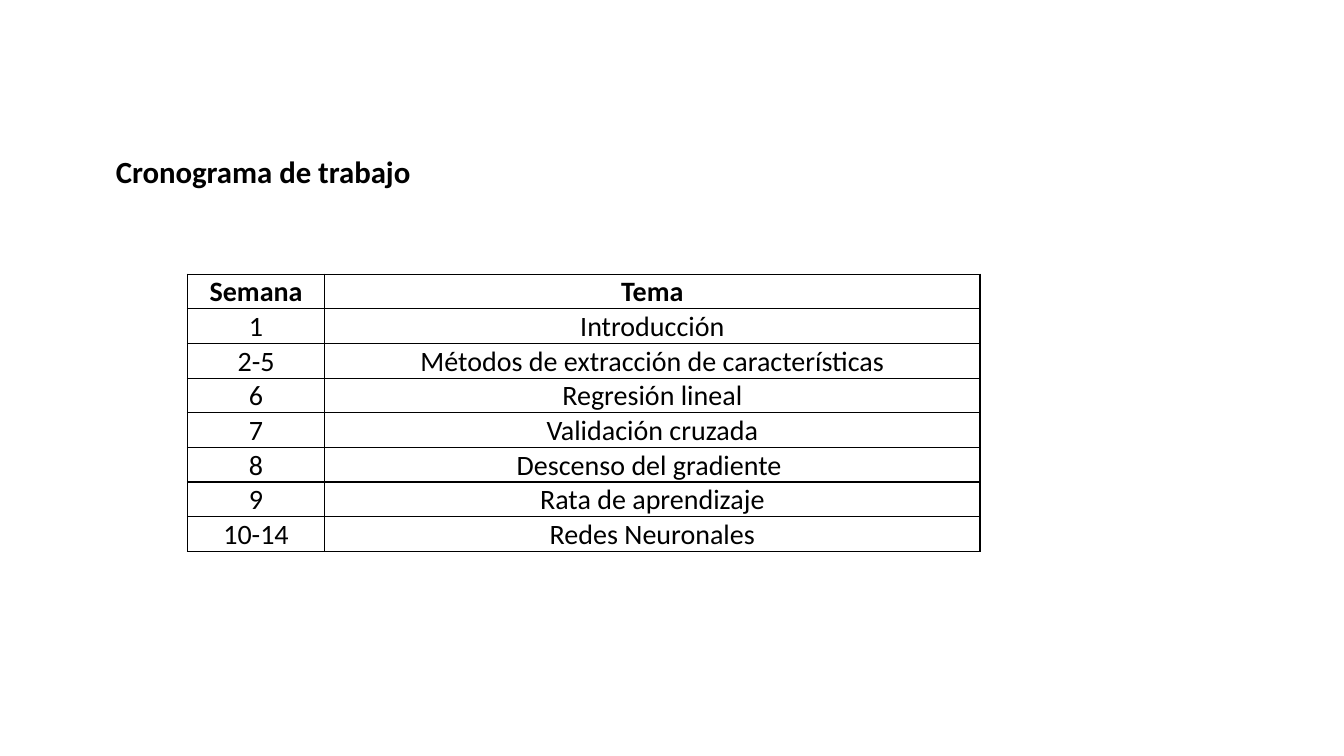
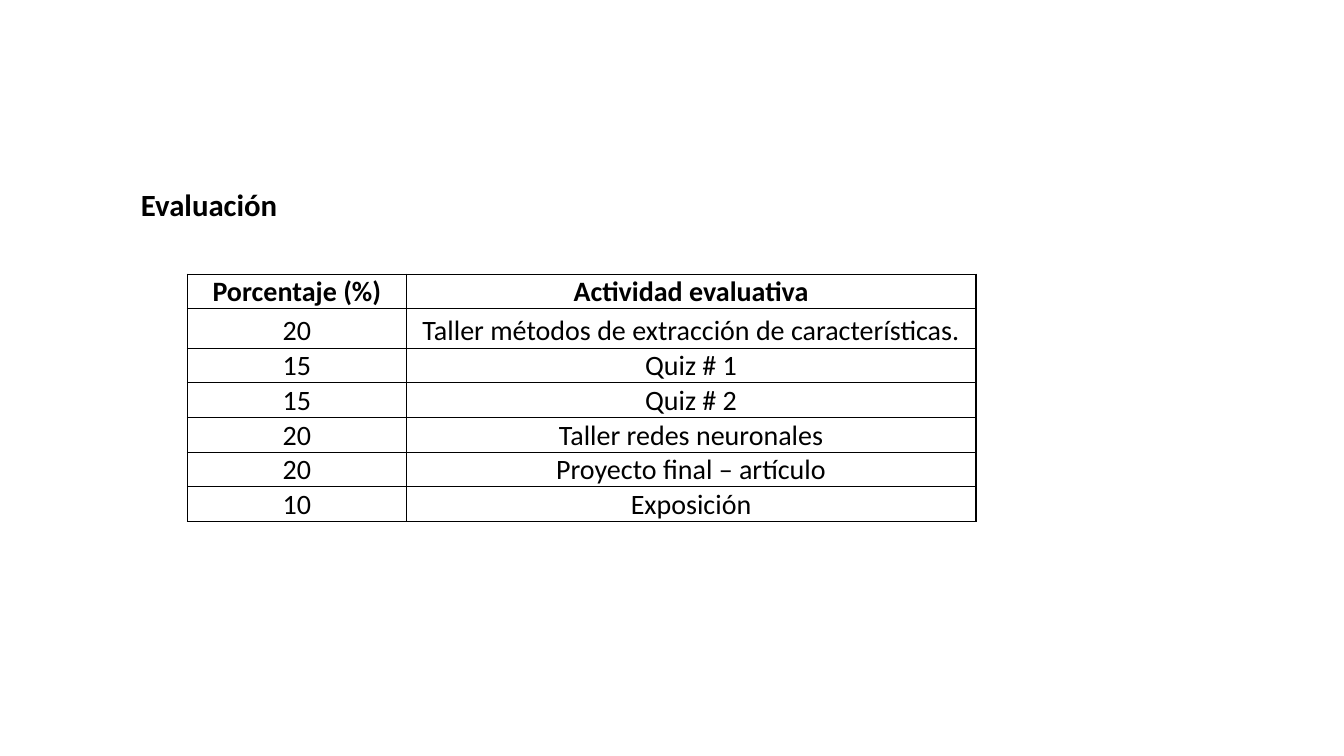
"""Build the course schedule and grading slides."""
from lxml.etree import SubElement
from pptx import Presentation
from pptx.dml.color import RGBColor
from pptx.enum.text import MSO_ANCHOR, MSO_AUTO_SIZE, PP_ALIGN
from pptx.oxml import parse_xml
from pptx.oxml.ns import nsdecls, qn
from pptx.util import Inches, Pt

COLORS = {"ink": "000000", "paper": "FFFFFF"}
FONT = "Calibri"
UNIT = 0.34
TABLE_LEFT, TABLE_TOP = 5.47, 8
TITLE_HEIGHT = 1.38
CELL_INSET = Inches(0.01)

SLIDES = [
    {
        "title": "Cronograma de trabajo",
        "title_box": (3.03, 4.32, 9.29),
        "columns": (4, 19.12),
        "taller_rows": {},
        "entries": [
            ("Semana", "Tema"),
            ("1", "Introducción"),
            ("2-5", "Métodos de extracción de características"),
            ("6", "Regresión lineal"),
            ("7", "Validación cruzada"),
            ("8", "Descenso del gradiente "),
            ("9", "Rata de aprendizaje"),
            ("10-14", "Redes Neuronales"),
        ],
    },
    {
        "title": "Evaluación",
        "title_box": (3.79, 5.26, 4.62),
        "columns": (6.38, 16.62),
        "taller_rows": {1: 1.15},
        "entries": [
            ("Porcentaje (%)", "Actividad evaluativa"),
            ("20", "Taller métodos de extracción de características."),
            ("15", "Quiz # 1"),
            ("15", "Quiz # 2"),
            ("20", "Taller redes neuronales"),
            ("20", "Proyecto final – artículo"),
            ("10", "Exposición"),
        ],
    },
]


def grid(count):
    return Inches(count * UNIT)


def write(frame, text, size, bold):
    frame.text = text
    paragraph = frame.paragraphs[0]
    paragraph.alignment = PP_ALIGN.CENTER
    font = paragraph.runs[0].font
    font.name, font.size, font.bold = FONT, Pt(size), bold
    font.color.rgb = RGBColor.from_string(COLORS["ink"])


deck = Presentation()
deck.slide_width, deck.slide_height = Inches(13.33), Inches(7.5)
title_only = deck.slide_layouts[5]

for content in SLIDES:
    slide = deck.slides.add_slide(title_only)
    slide.background.fill.solid()
    slide.background.fill.fore_color.rgb = RGBColor.from_string(COLORS["paper"])

    heading = slide.shapes.title
    left, top, width = content["title_box"]
    heading.left, heading.top = grid(left), grid(top)
    heading.width, heading.height = grid(width), grid(TITLE_HEIGHT)
    write(heading.text_frame, content["title"], 22, True)
    heading.text_frame.word_wrap = False
    heading.text_frame.auto_size = MSO_AUTO_SIZE.SHAPE_TO_FIT_TEXT
    heading.text_frame.vertical_anchor = MSO_ANCHOR.TOP

    entries, columns = content["entries"], content["columns"]
    schedule = slide.shapes.add_table(
        len(entries), len(columns), grid(TABLE_LEFT), grid(TABLE_TOP),
        grid(sum(columns)), grid(len(entries))).table
    schedule.first_row = schedule.horz_banding = False
    for column, span in zip(schedule.columns, columns):
        column.width = grid(span)

    for row, entry in enumerate(entries):
        schedule.rows[row].height = grid(content["taller_rows"].get(row, 1))
        for column, text in enumerate(entry):
            cell = schedule.cell(row, column)
            write(cell.text_frame, text, 20, row == 0)
            cell.vertical_anchor = MSO_ANCHOR.BOTTOM
            cell.margin_left = cell.margin_right = cell.margin_top = CELL_INSET
            cell.margin_bottom = 0
            cell.fill.background()
            properties = cell._tc.get_or_add_tcPr()
            for position, side in enumerate(("lnL", "lnR", "lnT", "lnB")):
                border = parse_xml(f'<a:{side} {nsdecls("a")} w="{Pt(1)}"/>')
                stroke = SubElement(border, qn("a:solidFill"))
                SubElement(stroke, qn("a:srgbClr"), val=COLORS["ink"])
                properties.insert(position, border)

deck.save("out.pptx")
